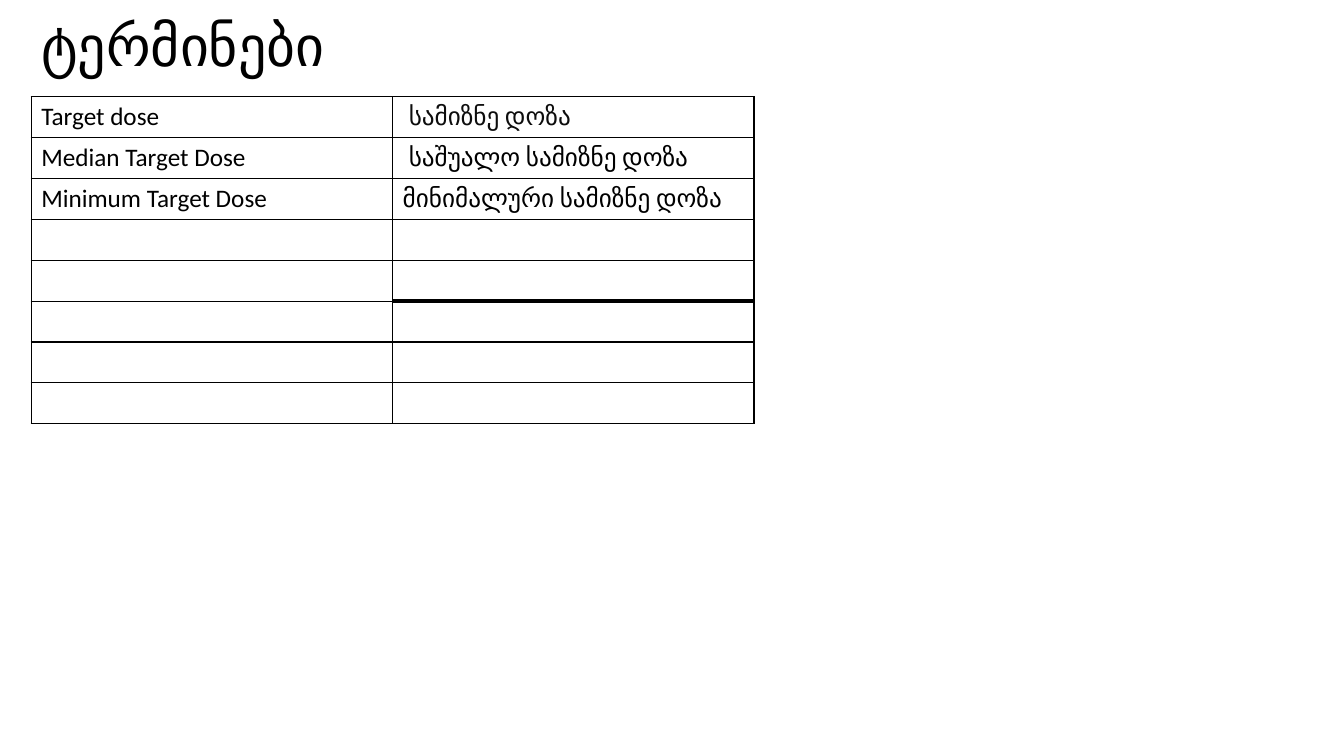
"""Build the slide of dose terms with their Georgian translations."""
from lxml import etree
from pptx import Presentation
from pptx.dml.color import RGBColor
from pptx.enum.text import MSO_ANCHOR, MSO_AUTO_SIZE, PP_ALIGN
from pptx.oxml.ns import qn
from pptx.util import Inches, Pt

LEFT = PP_ALIGN.LEFT
BOTTOM = MSO_ANCHOR.BOTTOM
NO_AUTOFIT = MSO_AUTO_SIZE.NONE
TITLE_ONLY = 5
FONT = "Calibri"
COLORS = {"text": "000000", "target": "0D0D0D", "border": "000000"}
ROWS, COLS = 8, 2
INDENT = 0.16
MARGIN = 0.1
TERMS = [
    ("Target dose", "სამიზნე დოზა", INDENT, "target"),
    ("Median Target Dose", "საშუალო სამიზნე დოზა", INDENT, "text"),
    ("Minimum Target Dose", "მინიმალური სამიზნე დოზა", MARGIN, "text"),
]
THICK_EDGES = {(4, 1, "lnB"), (5, 1, "lnT")}


def write(tf, text, size, color="text"):
    p = tf.paragraphs[0]
    p.text = text
    p.alignment = LEFT
    p.font.name = FONT
    p.font.size = Pt(size)
    p.font.color.rgb = RGBColor.from_string(COLORS[color])
    return p


def add_title(s, text):
    title = s.shapes.title
    title.left, title.top = Inches(0.31), Inches(0.18)
    title.width, title.height = Inches(10), Inches(0.65)
    tf = title.text_frame
    tf.auto_size = NO_AUTOFIT
    tf.word_wrap = True
    tf.vertical_anchor = BOTTOM
    write(tf, text, 40).line_spacing = 0.9


def set_borders(cell, row, col):
    tc_pr = cell._tc.get_or_add_tcPr()
    for i, edge in enumerate(("lnL", "lnR", "lnT", "lnB")):
        width = Pt(3 if (row, col, edge) in THICK_EDGES else 1)
        ln = etree.Element(qn(f"a:{edge}"), w=str(width))
        fill = etree.SubElement(ln, qn("a:solidFill"))
        etree.SubElement(fill, qn("a:srgbClr"), val=COLORS["border"])
        tc_pr.insert(i, ln)


def add_terms_table(s, terms):
    frame = s.shapes.add_table(ROWS, COLS, Inches(0.31), Inches(0.96),
                               Inches(7.17), Inches(3.24))
    table = frame.table
    table.first_row = False
    table.horz_banding = False
    for row in range(ROWS):
        for col in range(COLS):
            cell = table.cell(row, col)
            cell.fill.background()
            set_borders(cell, row, col)
    for row, (term, translation, margin, color) in enumerate(terms):
        write(table.cell(row, 0).text_frame, term, 18)
        cell = table.cell(row, 1)
        cell.margin_left = Inches(margin)
        write(cell.text_frame, translation, 18, color)


def main():
    prs = Presentation()
    prs.slide_width, prs.slide_height = Inches(13.33), Inches(7.5)
    s = prs.slides.add_slide(prs.slide_layouts[TITLE_ONLY])
    add_title(s, "ტერმინები")
    add_terms_table(s, TERMS)
    prs.save("out.pptx")


main()
